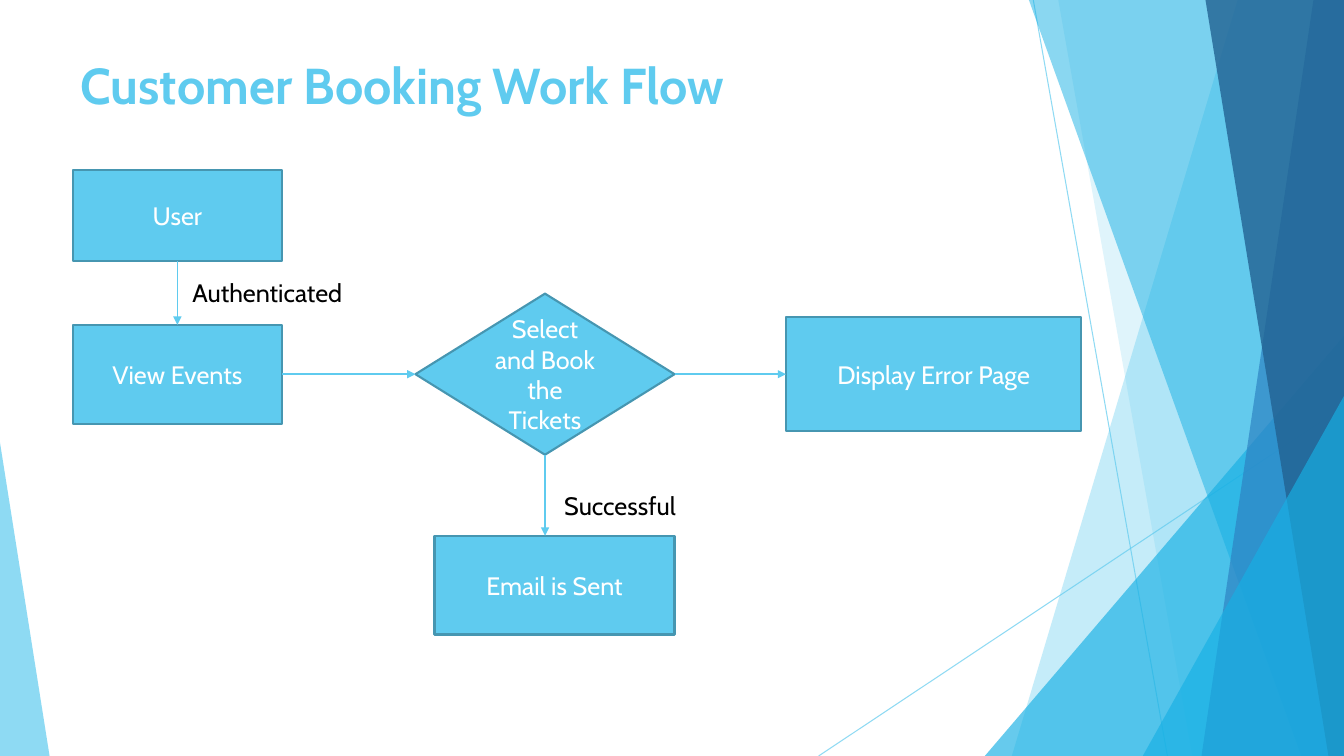
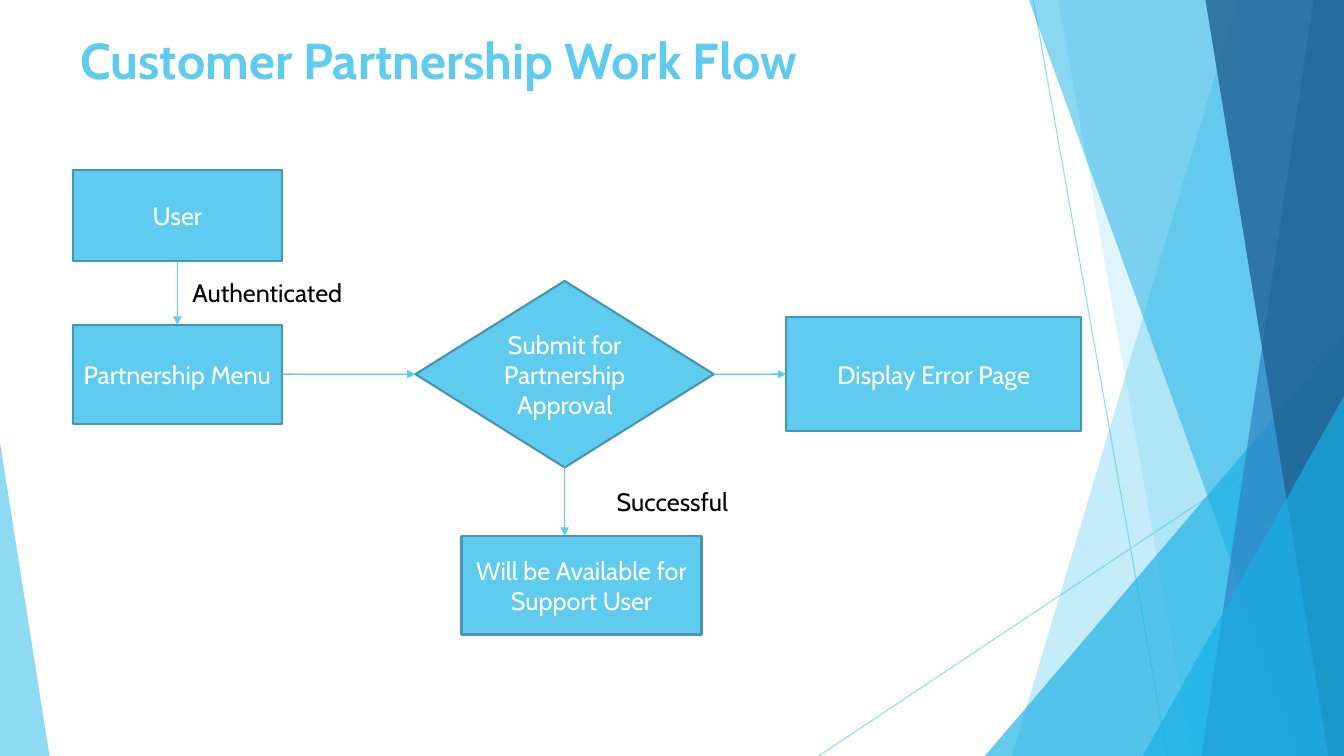
from lxml import etree
from pptx import Presentation
from pptx.dml.color import RGBColor
from pptx.enum.shapes import MSO_CONNECTOR, MSO_SHAPE
from pptx.enum.text import MSO_ANCHOR, PP_ALIGN
from pptx.oxml.ns import qn
from pptx.util import Cm, Pt

STRAIGHT = MSO_CONNECTOR.STRAIGHT
RECTANGLE = MSO_SHAPE.RECTANGLE
DECISION = MSO_SHAPE.FLOWCHART_DECISION
TRIANGLE = MSO_SHAPE.ISOSCELES_TRIANGLE
TOP, MIDDLE = MSO_ANCHOR.TOP, MSO_ANCHOR.MIDDLE
LEFT, CENTER = PP_ALIGN.LEFT, PP_ALIGN.CENTER
TOP_SIDE, LEFT_SIDE, BOTTOM_SIDE, RIGHT_SIDE = range(4)

SKY = RGBColor(0x5F, 0xCB, 0xEF)
CYAN = RGBColor(0x17, 0xB0, 0xE4)
BLUE = RGBColor(0x2E, 0x83, 0xC3)
NAVY = RGBColor(0x22, 0x62, 0x92)
OUTLINE = RGBColor(0x46, 0x96, 0xB1)
WHITE = RGBColor(0xFF, 0xFF, 0xFF)
BLACK = RGBColor(0x00, 0x00, 0x00)
FONT = "Cabin"

SLIDE_WIDTH, SLIDE_HEIGHT = 33.87, 19.05
FACETS_BOX = (20.63, 0, 13.24, SLIDE_HEIGHT)
CORNER_BOX = (0, 11.15, 1.25, 7.9)
FLOW_ORIGIN = (1.83, 4.29)
FLOW_AXIS = 5.14

FACETS = [
    ("band", 10.56, 4.87, SKY, 36),
    ("band", 6.04, 9.42, SKY, 20),
    ("triangle", 4.19, 8.46, CYAN, 66),
    ("band", 5.3, 12.16, CYAN, 50),
    ("band", 12.47, 9.65, BLUE, 70),
    ("band", 9.75, 12.85, NAVY, 80),
    ("triangle", 8.17, 9.98, CYAN, 66),
]

FLOWS = [
    {
        "title": "Customer Booking Work Flow",
        "title_box": (1.78, 1.24, 23.88, 1.91),
        "menu": "View Events",
        "question": "Select and Book the Tickets",
        "question_size": (6.53, 4.06),
        "result": "Email is Sent",
        "result_left": 9.12,
        "success_at": (12.14, 7.95),
    },
    {
        "title": "Customer Partnership Work Flow",
        "title_box": (1.78, 0.61, 23.88, 2.41),
        "menu": "Partnership Menu",
        "question": "Submit for Partnership Approval",
        "question_size": (7.52, 4.7),
        "result": "Will be Available for Support User",
        "result_left": 9.8,
        "success_at": (13.46, 7.83),
    },
]


def set_opacity(shape, percent):
    color = shape.element.spPr.find(".//" + qn("a:srgbClr"))
    etree.SubElement(color, qn("a:alpha"), val=str(percent * 1000))


def write_text(shape, text, *, size=18, color=BLACK, bold=False, align=LEFT, anchor=TOP):
    frame = shape.text_frame
    frame.word_wrap = True
    frame.vertical_anchor = anchor
    paragraph = frame.paragraphs[0]
    paragraph.alignment = align
    run = paragraph.add_run()
    run.text = text
    run.font.name = FONT
    run.font.size = Pt(size)
    run.font.bold = bold
    run.font.color.rgb = color


def add_text(slide, text, box, **text_format):
    write_text(slide.shapes.add_textbox(*map(Cm, box)), text, **text_format)


def add_line(slide, start, end, width):
    line = slide.shapes.add_connector(STRAIGHT, *start, *end)
    line.line.color.rgb = SKY
    line.line.width = Pt(width)
    etree.SubElement(line.element.spPr, qn("a:effectLst"))
    return line


def add_arrow(slide, source, source_side, target, target_side=None):
    center = source.left + source.width // 2
    arrow = add_line(slide, (center, source.top + source.height), (center, target.top), 1)
    arrow.begin_connect(source, source_side)
    if target_side is not None:
        arrow.end_connect(target, target_side)
    etree.SubElement(arrow.line._get_or_add_ln(), qn("a:tailEnd"), type="triangle")


def paint_facet(shape, color, opacity):
    shape.shadow.inherit = False
    shape.fill.solid()
    shape.fill.fore_color.rgb = color
    shape.line.fill.background()
    set_opacity(shape, opacity)


def add_triangle(slide, box, apex, color, opacity):
    triangle = slide.shapes.add_shape(TRIANGLE, *map(Cm, box))
    triangle.adjustments[0] = apex
    paint_facet(triangle, color, opacity)


def add_band(slide, points, color, opacity):
    first, *others = [(Cm(x), Cm(y)) for x, y in points]
    builder = slide.shapes.build_freeform(*first)
    builder.add_line_segments(others, close=True)
    paint_facet(builder.convert_to_shape(), color, opacity)


def add_facets(slide, box):
    left, top, width, height = box
    right, bottom = left + width, top + height
    rays = [
        ((left + 5.41, top), (left + 8.79, bottom)),
        ((right, top + 10.24), (left, bottom)),
    ]
    for start, end in rays:
        set_opacity(add_line(slide, map(Cm, start), map(Cm, end), 0.75), 70)
    for kind, first, second, color, opacity in FACETS:
        if kind == "band":
            points = [(left + first, top), (right, top), (right, bottom), (left + second, bottom)]
            add_band(slide, points, color, opacity)
        else:
            triangle_box = (left + first, top + second, width - first, height - second)
            add_triangle(slide, triangle_box, 1, color, opacity)


def add_step(slide, text, box, kind=RECTANGLE):
    step = slide.shapes.add_shape(kind, *map(Cm, box))
    step.shadow.inherit = False
    step.fill.solid()
    step.fill.fore_color.rgb = SKY
    step.line.color.rgb = OUTLINE
    step.line.width = Pt(1.5)
    write_text(step, text, color=WHITE, align=CENTER, anchor=MIDDLE)
    return step


def add_flow(slide, origin, flow):
    left, top = origin

    def on_axis(offset, width, height):
        return left + offset, top + FLOW_AXIS - height / 2, width, height

    user = add_step(slide, "User", (left, top, 5.28, 2.29))
    menu = add_step(slide, flow["menu"], on_axis(0, 5.28, 2.49))
    question = add_step(slide, flow["question"], on_axis(8.64, *flow["question_size"]), DECISION)
    result = add_step(slide, flow["result"], (left + flow["result_left"], top + 9.21, 6.05, 2.49))
    error = add_step(slide, "Display Error Page", on_axis(17.98, 7.44, 2.87))

    add_arrow(slide, user, BOTTOM_SIDE, menu, TOP_SIDE)
    add_arrow(slide, menu, RIGHT_SIDE, question, LEFT_SIDE)
    add_arrow(slide, question, RIGHT_SIDE, error, LEFT_SIDE)
    add_arrow(slide, question, BOTTOM_SIDE, result)

    success_left, success_top = flow["success_at"]
    add_text(slide, "Authenticated", (left + 2.77, top + 2.57, 4.98, 1.02))
    add_text(slide, "Successful", (left + success_left, top + success_top, 4.45, 1.02))


def add_flow_slide(presentation, flow):
    slide = presentation.slides.add_slide(presentation.slide_layouts[6])
    add_facets(slide, FACETS_BOX)
    add_triangle(slide, CORNER_BOX, 0, SKY, 70)
    add_text(slide, flow["title"], flow["title_box"], size=36, color=SKY, bold=True)
    add_flow(slide, FLOW_ORIGIN, flow)


def main():
    presentation = Presentation()
    presentation.slide_width = Cm(SLIDE_WIDTH)
    presentation.slide_height = Cm(SLIDE_HEIGHT)
    for flow in FLOWS:
        add_flow_slide(presentation, flow)
    presentation.save("out.pptx")


if __name__ == "__main__":
    main()
